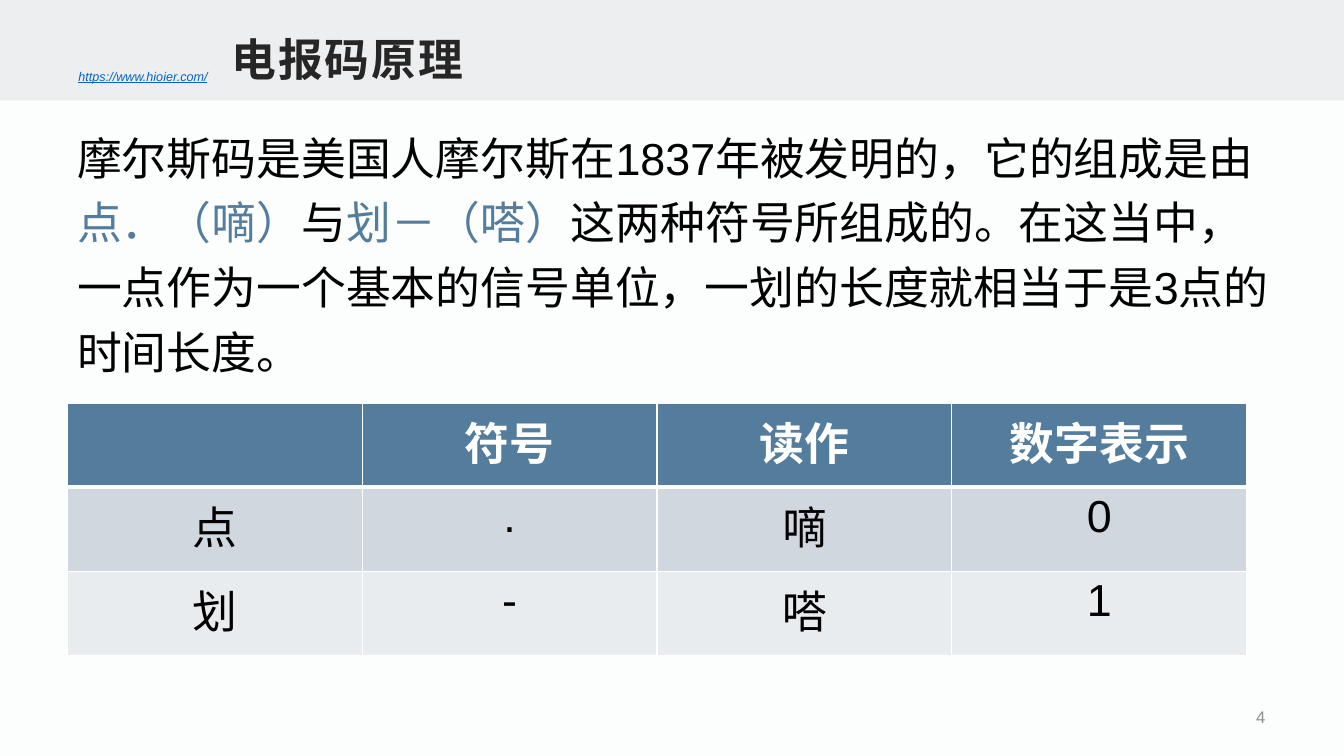
import pptx
import pptx.dml.color
import pptx.enum.shapes
import pptx.enum.text
import pptx.oxml
import pptx.oxml.ns
import pptx.util

WIDE, HIGH = 13.33, 7.5
COLORS = {
    "page": "FCFDFD", "band": "ECEEEF", "link": "0563C1", "title": "262626",
    "text": "000000", "accent": "547D9D", "white": "FFFFFF",
    "dark": "D1D7DF", "light": "E9ECEF", "number": "8C8C8C",
}
ALIGN = pptx.enum.text.PP_ALIGN
ANCHOR = pptx.enum.text.MSO_ANCHOR

BODY = [
    ("摩尔斯码是美国人摩尔斯在1837年被发明的，它的组成是由", "text"),
    ("点．（嘀）", "accent"),
    ("与", "text"),
    ("划－（嗒）", "accent"),
    ("这两种符号所组成的。在这当中，一点作为一个基本的信号单位，"
     "一划的长度就相当于是3点的时间长度。", "text"),
]
CODES = [
    ["", "符号", "读作", "数字表示"],
    ["点", ".", "嘀", "0"],
    ["划", "-", "嗒", "1"],
]


def tint(name):
    return pptx.dml.color.RGBColor.from_string(COLORS[name])


def inches(box):
    return [pptx.util.Inches(size) for size in box]


def style(run, size, color, bold=False, slant=False):
    font = run.font
    font.size, font.name = pptx.util.Pt(size), "Arial"
    font.bold, font.italic = bold, slant
    font.color.rgb = tint(color)


def add_text(slide, box, parts, size, anchor=ANCHOR.TOP, inset=(0.1, 0.05), **look):
    """Place one paragraph made of (text, color) parts and return it."""
    frame = slide.shapes.add_textbox(*inches(box)).text_frame
    frame.word_wrap = True
    frame.vertical_anchor = anchor
    frame.margin_left = frame.margin_right = pptx.util.Inches(inset[0])
    frame.margin_top = frame.margin_bottom = pptx.util.Inches(inset[1])
    para = frame.paragraphs[0]
    for text, color in parts:
        run = para.add_run()
        run.text = text
        style(run, size, color, **look)
    return para


def add_header(slide, box):
    left, top, wide, high = box
    band = slide.shapes.add_shape(
        pptx.enum.shapes.MSO_SHAPE.RECTANGLE, *inches(box))
    band.shadow.inherit = False
    band.fill.solid()
    band.fill.fore_color.rgb = tint("band")
    band.line.fill.background()

    link = add_text(
        slide, (left + 0.051 * wide, top + 0.63 * high, wide / 2, 0.25 * high),
        [("https://www.hioier.com/", "link")], 9, slant=True)
    link.runs[0].font.underline = True
    title = add_text(
        slide, (left + 0.166 * wide, top + 0.22 * high, 2.65, 0.67 * high),
        [("电报码原理", "title")], 32, ANCHOR.BOTTOM, (0.08, 0.04), bold=True)
    title.runs[0].font._element.set("spc", "150")


def add_body(slide, box):
    add_text(slide, box, BODY, 32).line_spacing = 1.2


def add_edge(cell, side, width):
    edge = pptx.oxml.parse_xml(
        f'<a:ln{side} {pptx.oxml.ns.nsdecls("a")} w="{pptx.util.Pt(width)}">'
        f'<a:solidFill><a:srgbClr val="{COLORS["white"]}"/></a:solidFill></a:ln{side}>')
    cell._tc.get_or_add_tcPr().append(edge)


def add_codes(slide, box):
    table = slide.shapes.add_table(len(CODES), len(CODES[0]), *inches(box)).table
    fills = ["accent", "dark", "light"]
    for r, words in enumerate(CODES):
        head = r == 0
        for c, word in enumerate(words):
            cell = table.cell(r, c)
            for side in "LRTB":
                rule = (r, side) in [(0, "B"), (1, "T")]
                add_edge(cell, side, 3 if rule else 1)
            cell.fill.solid()
            cell.fill.fore_color.rgb = tint(fills[r])
            para = cell.text_frame.paragraphs[0]
            para.text = word
            para.alignment = ALIGN.CENTER
            for run in para.runs:
                style(run, 32, "white" if head else "text", bold=head)


def add_number(slide, box):
    para = add_text(slide, box, [("4", "number")], 12, ANCHOR.MIDDLE)
    para.alignment = ALIGN.RIGHT


def main():
    deck = pptx.Presentation()
    deck.slide_width, deck.slide_height = inches((WIDE, HIGH))
    slide = deck.slides.add_slide(deck.slide_layouts[6])
    slide.background.fill.solid()
    slide.background.fill.fore_color.rgb = tint("page")

    edge = 0.05 * WIDE
    add_header(slide, (0, 0, WIDE, 1))
    add_number(slide, (9.7, 6.94, 2.95, 0.35))
    add_body(slide, (edge, 1.14, 12.19, 2.68))
    add_codes(slide, (edge, 4, 11.7, HIGH / 3))
    deck.save("out.pptx")


if __name__ == "__main__":
    main()
